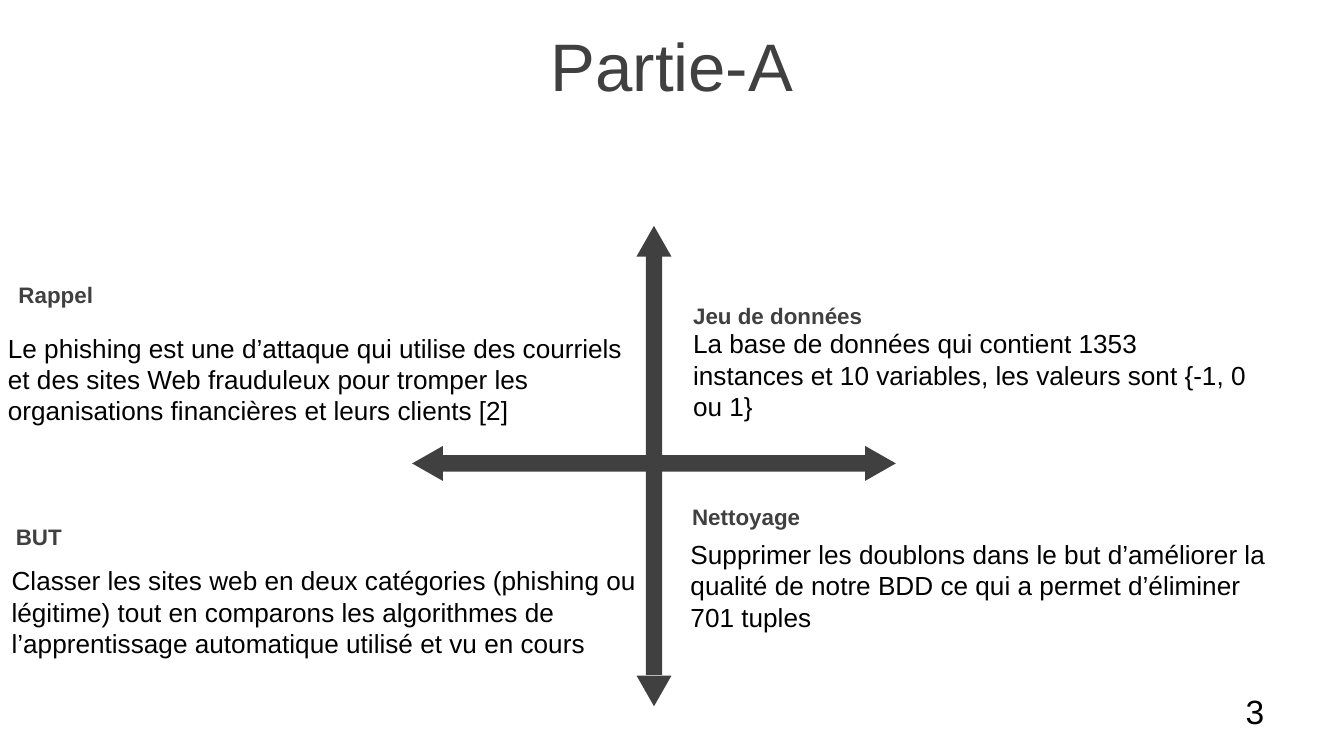
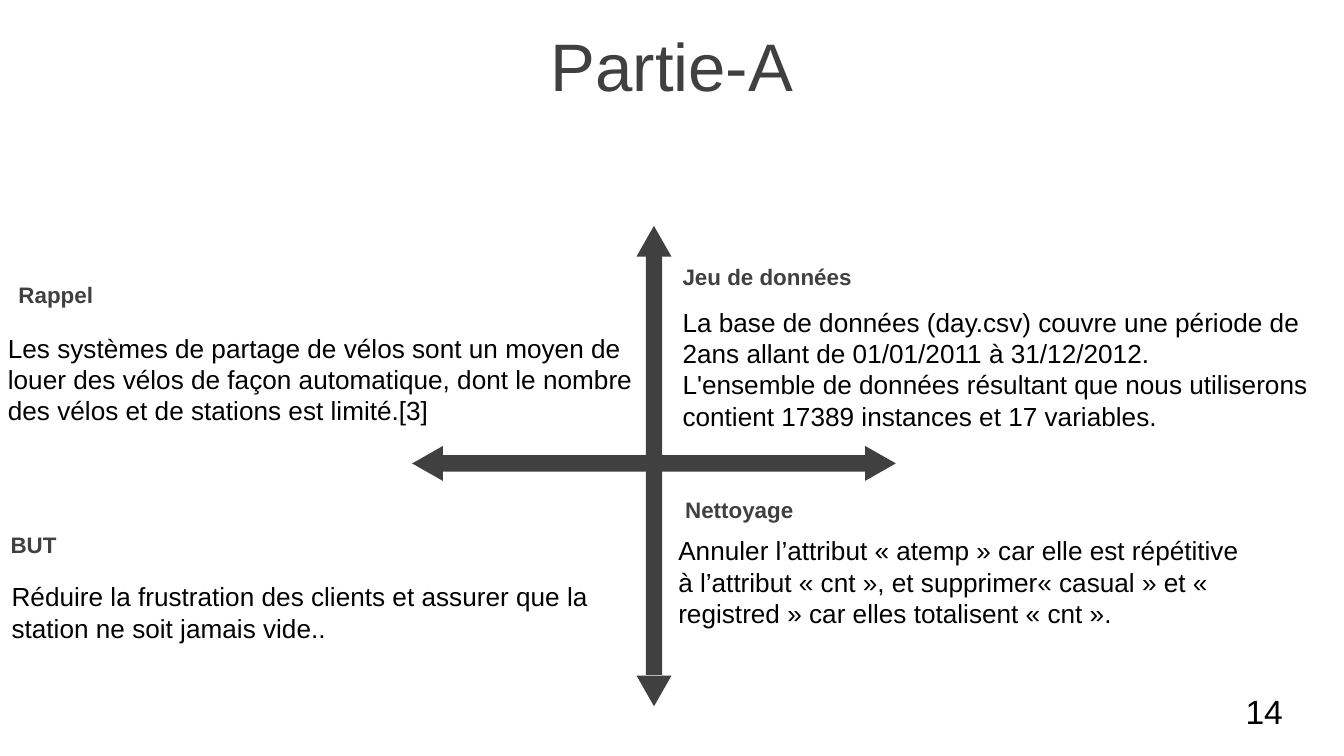
import pptx
import pptx.dml.color
import pptx.enum.shapes
import pptx.enum.text
import pptx.util

Cm = pptx.util.Cm
Pt = pptx.util.Pt
MSO_SHAPE = pptx.enum.shapes.MSO_SHAPE
ANCHOR = pptx.enum.text.MSO_ANCHOR
ALIGN = pptx.enum.text.PP_ALIGN

DARK_GREY = pptx.dml.color.RGBColor(0x40, 0x40, 0x40)
BLACK = pptx.dml.color.RGBColor(0x00, 0x00, 0x00)
FONT = "Arial"

CROSS_X, CROSS_Y = 12.36, 8.76
BAR_LENGTH, BAR_THICKNESS = 8, 0.31
HEAD_WIDTH, HEAD_HEIGHT = 0.66, 0.58
# Rotation and offset from the centre of the cross
ARROWHEADS = [(0, 0, -4.2), (90, 4.28, 0), (180, 0, 4.3), (270, -4.28, 0)]

# Each quadrant: heading, heading box, body paragraphs, body box (left, top, width, height in cm)
RECALL_HEADING_BOX = (0.1, 5.03, 8.53, 1.09)
RECALL_BODY_BOX = (-0.1, 6.15, 12.42, 2.06)
SLIDES = [
    ("3", [
        ("Jeu de données", (12.85, 5.59, 11.07, 0.76),
         ["La base de données qui contient 1353 instances et 10 variables, "
          "les valeurs sont {-1, 0 ou 1}"],
         (12.85, 6.07, 11.07, 2.06)),
        ("Nettoyage", (12.83, 9.4, 7.95, 0.74),
         ["Supprimer les doublons dans le but d’améliorer la qualité de notre BDD "
          "ce qui a permet d’éliminer 701 tuples"],
         (12.8, 10.05, 11.4, 2.06)),
        ("Rappel", RECALL_HEADING_BOX,
         ["Le phishing est une d’attaque qui utilise des courriels et des sites Web "
          "frauduleux pour tromper les organisations financières et leurs clients [2]"],
         RECALL_BODY_BOX),
        ("BUT", (0.05, 9.53, 12.5, 1.24),
         ["Classer les sites web en deux catégories (phishing ou légitime) tout en comparons "
          "les algorithmes de l’apprentissage automatique utilisé et vu en cours"],
         (-0.03, 10.55, 12.5, 2.06)),
    ]),
    ("14", [
        ("Jeu de données", (12.65, 4.85, 11.07, 0.76),
         ["La base de données (day.csv) couvre une période de 2ans allant de "
          "01/01/2011 à 31/12/2012.",
          "L'ensemble de données résultant que nous utiliserons contient "
          "17389 instances et 17 variables."],
         (12.65, 5.66, 12.45, 3.84)),
        ("Nettoyage", (12.7, 9.27, 7.95, 0.74),
         ["Annuler l’attribut « atemp » car elle est répétitive à l’attribut « cnt », "
          "et supprimer« casual » et « registred » car elles totalisent « cnt »."],
         (12.57, 9.98, 11.4, 2.82)),
        ("Rappel", RECALL_HEADING_BOX,
         ["Les systèmes de partage de vélos sont un moyen de louer des vélos de façon "
          "automatique, dont le nombre des vélos et de stations est limité.[3]"],
         RECALL_BODY_BOX),
        ("BUT", (-0.05, 9.68, 12.5, 1.24),
         ["Réduire la frustration des clients et assurer que la station "
          "ne soit jamais vide.."],
         (-0.03, 10.85, 12.5, 1.45)),
    ]),
]


def add_text(slide, box, paragraphs, size, color, bold=False,
             anchor=ANCHOR.TOP, alignment=ALIGN.LEFT):
    frame = slide.shapes.add_textbox(*map(Cm, box)).text_frame
    frame.word_wrap = True
    frame.vertical_anchor = anchor
    frame.text = "\n".join(paragraphs)
    for paragraph in frame.paragraphs:
        paragraph.alignment = alignment
        paragraph.font.name = FONT
        paragraph.font.size = Pt(size)
        paragraph.font.bold = bold
        paragraph.font.color.rgb = color


def add_cross_part(slide, kind, center_x, center_y, width, height, rotation):
    shape = slide.shapes.add_shape(kind, Cm(center_x - width / 2), Cm(center_y - height / 2),
                                   Cm(width), Cm(height))
    shape.rotation = rotation
    shape.shadow.inherit = False
    shape.fill.solid()
    shape.fill.fore_color.rgb = DARK_GREY
    shape.line.fill.background()


presentation = pptx.Presentation()
presentation.slide_width = Cm(25.4)
presentation.slide_height = Cm(14.29)

for number, quadrants in SLIDES:
    slide = presentation.slides.add_slide(presentation.slide_layouts[6])
    add_text(slide, (0, 0.43, 25.4, 1.6), ["Partie-A"], 36, DARK_GREY,
             anchor=ANCHOR.MIDDLE, alignment=ALIGN.CENTER)

    for heading, heading_box, body, body_box in quadrants:
        add_text(slide, body_box, body, 14, BLACK)
        add_text(slide, heading_box, [heading], 12, DARK_GREY, bold=True, anchor=ANCHOR.MIDDLE)

    for rotation in (0, 90):
        add_cross_part(slide, MSO_SHAPE.RECTANGLE, CROSS_X, CROSS_Y,
                       BAR_LENGTH, BAR_THICKNESS, rotation)
    for rotation, offset_x, offset_y in ARROWHEADS:
        add_cross_part(slide, MSO_SHAPE.ISOSCELES_TRIANGLE, CROSS_X + offset_x,
                       CROSS_Y + offset_y, HEAD_WIDTH, HEAD_HEIGHT, rotation)

    add_text(slide, (23.29, 12.93, 1.4, 1.02), [number], 18, BLACK)

presentation.save("out.pptx")
